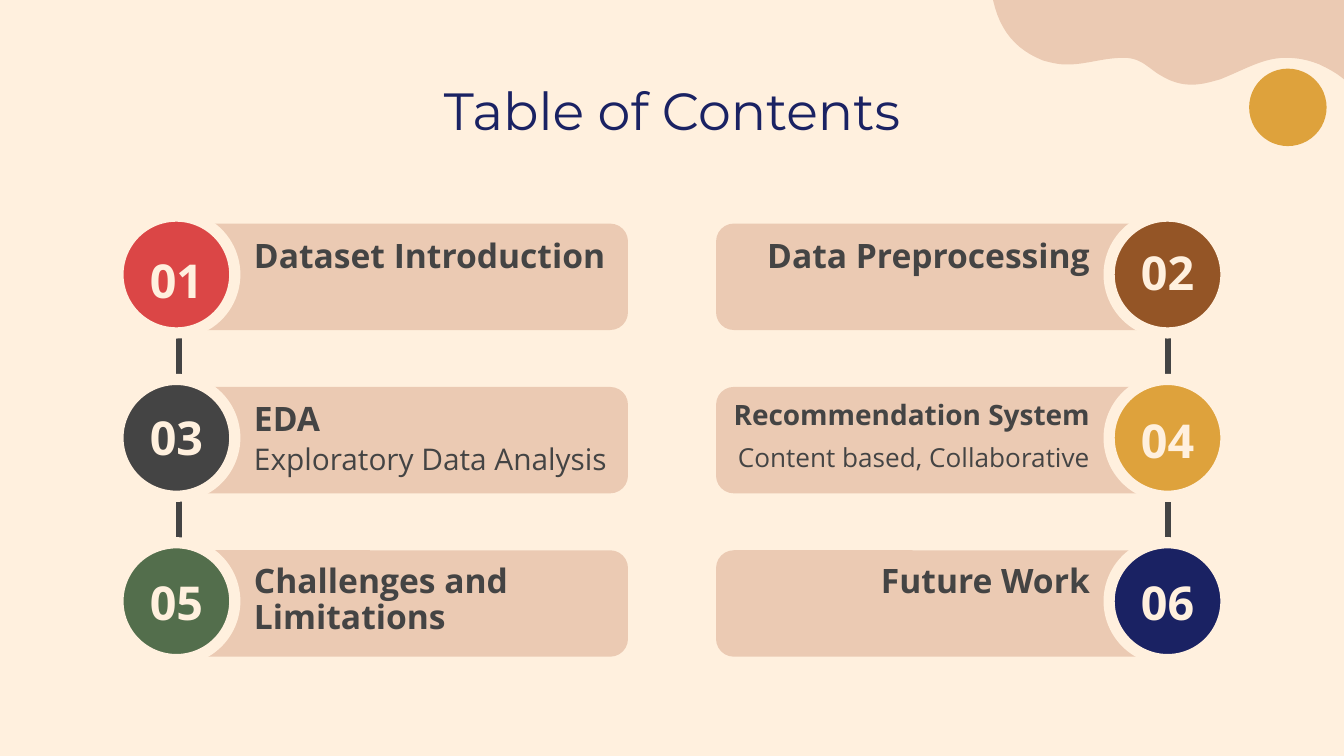
from lxml import etree
from pptx import Presentation
from pptx.dml.color import RGBColor
from pptx.enum.shapes import MSO_CONNECTOR, MSO_SHAPE
from pptx.enum.text import MSO_ANCHOR, PP_ALIGN
from pptx.oxml.ns import qn
from pptx.util import Pt

LEFT, CENTER, RIGHT = PP_ALIGN.LEFT, PP_ALIGN.CENTER, PP_ALIGN.RIGHT
TOP, MIDDLE = MSO_ANCHOR.TOP, MSO_ANCHOR.MIDDLE
ELLIPSE, ROUNDED = MSO_SHAPE.OVAL, MSO_SHAPE.ROUNDED_RECTANGLE
STRAIGHT = MSO_CONNECTOR.STRAIGHT

# Content
TITLE = "Table of Contents"
CREAM, SAND, GRAY, NAVY, GOLD = "FFF0DE", "EBCAB3", "444444", "1A2263", "DEA23C"
# number, circle colour, number top, heading, heading size, detail, detail size
ITEMS = [
    ("01", "DB4646", 118.8, "Dataset Introduction", 18, None, None),
    ("02", "945526", 114.5, "Data Preprocessing", 18, None, None),
    ("03", GRAY, 203, "EDA", 18, "Exploratory Data Analysis", 16),
    ("04", GOLD, 204.5, "Recommendation System", 15, "Content based, Collaborative", 14),
    ("05", "536E4C", 291.6, "Challenges and Limitations", 18, None, None),
    ("06", NAVY, 291.6, "Future Work", 18, None, None),
]

# Layout
WIDTH, HEIGHT = 720, 405
CARD_X, CARD_W, CARD_H = 93, 243.4, 57
CARD_TOP, PITCH = 119.8, 87.5
CIRCLE_X, CIRCLE_D = 63.2, 62.6
TEXT_X, TEXT_W = 129, 211
HEADING_TOPS = (118.8, 206, 295.2)
LINE_XS = (95.8, 625.7)

# Corner blob: start point, then Bezier segments (two controls and an end)
BLOB_START = (720, 42.5)
BLOB_CURVES = [
    ((715.7, 38.9), (711.4, 36.7), (707, 34.6)),
    ((699.8, 31.7), (694.1, 31), (689, 31)),
    ((676.8, 31), (668.2, 36.7), (653.8, 42.5)),
    ((648.7, 43.9), (643.7, 45.4), (638.6, 45.4)),
    ((632.9, 45.4), (627.8, 43.9), (622.8, 41)),
    ((614.9, 36.7), (612, 31), (601.9, 31)),
    ((591.1, 31), (581.8, 34.6), (571.7, 34.6)),
    ((567.4, 34.6), (563.8, 33.8), (558.7, 32.4)),
    ((544.3, 26.6), (535.7, 16.6), (532, 0)),
]


def rgb(value):
    return RGBColor.from_string(value)


def paint(sp, fill, line=None, width=0):
    sp.shadow.inherit = False
    sp.fill.solid()
    sp.fill.fore_color.rgb = rgb(fill)
    if line:
        sp.line.color.rgb = rgb(line)
        sp.line.width = Pt(width)
    else:
        sp.line.fill.background()


def add_shape(kind, x, y, w, h, fill, **line):
    sp = slide.shapes.add_shape(kind, Pt(x), Pt(y), Pt(w), Pt(h))
    paint(sp, fill, **line)
    return sp


def add_text(text, x, y, w, h, sp=None, size=18, color=GRAY, bold=False,
             font="Open Sans", align=LEFT, anchor=TOP, spacing=1.0):
    sp = sp or slide.shapes.add_textbox(0, 0, 0, 0)
    sp.left, sp.top, sp.width, sp.height = Pt(x), Pt(y), Pt(w), Pt(h)
    tf = sp.text_frame
    tf.word_wrap = True
    tf.vertical_anchor = anchor
    tf.margin_left = tf.margin_right = tf.margin_top = tf.margin_bottom = Pt(7.2)
    p = tf.paragraphs[0]
    p.alignment = align
    p.line_spacing = spacing
    r = p.add_run()
    r.text = text
    r.font.name, r.font.size, r.font.bold = font, Pt(size), bold
    r.font.color.rgb = rgb(color)


def curve_points(start, curves, steps=12):
    points = []
    for c1, c2, end in curves:
        for i in range(1, steps + 1):
            t = i / steps
            u = 1 - t
            points.append(tuple(
                u**3 * a + 3 * u * u * t * b + 3 * u * t * t * c + t**3 * d
                for a, b, c, d in zip(start, c1, c2, end)))
        start = end
    return points


prs = Presentation()
prs.slide_width, prs.slide_height = Pt(WIDTH), Pt(HEIGHT)
slide = prs.slides.add_slide(prs.slide_layouts[5])
slide.background.fill.solid()
slide.background.fill.fore_color.rgb = rgb(CREAM)

# Corner decoration
builder = slide.shapes.build_freeform(Pt(WIDTH), 0)
outline = [BLOB_START] + curve_points(BLOB_START, BLOB_CURVES)
builder.add_line_segments([(Pt(x), Pt(y)) for x, y in outline], close=True)
paint(builder.convert_to_shape(), SAND)
add_shape(ELLIPSE, 669.2, 36.8, 41.5, 41.5, GOLD)

# Title
add_text(TITLE, 56.2, 34.6, 607.6, 45.4, sp=slide.shapes.title, size=28,
         color=NAVY, font="Montserrat", align=CENTER)

# Vertical lines behind the circles
for x in LINE_XS:
    line = slide.shapes.add_connector(STRAIGHT, Pt(x), Pt(145.4), Pt(x), Pt(323.6))
    line.line.color.rgb = rgb(GRAY)
    line.line.width = Pt(3)
    etree.SubElement(line._element.spPr, qn("a:effectLst"))

# Cards: the right column mirrors the left
for i, (number, color, number_top, heading, size, detail, detail_size) in enumerate(ITEMS):
    row, on_right = divmod(i, 2)

    def place(x, w):
        return WIDTH - x - w if on_right else x

    y = CARD_TOP + row * PITCH
    circle_x, text_x = place(CIRCLE_X, CIRCLE_D), place(TEXT_X, TEXT_W)
    align = RIGHT if on_right else LEFT
    card = add_shape(ROUNDED, place(CARD_X, CARD_W), y, CARD_W, CARD_H, SAND)
    card.adjustments[0] = 0.167
    add_shape(ELLIPSE, circle_x, y - 4, CIRCLE_D, CIRCLE_D, color, line=CREAM, width=6)
    add_text(number, circle_x, number_top, CIRCLE_D, 62, size=25, color=CREAM,
             bold=True, align=CENTER, anchor=MIDDLE)
    top = HEADING_TOPS[row]
    add_text(heading, text_x, top, TEXT_W, 26, size=size, bold=True, align=align,
             spacing=0.9 if row == 2 else 1.0)
    if detail:
        add_text(detail, text_x, top + 23, TEXT_W, 34.6, size=detail_size, align=align)

prs.save("out.pptx")
